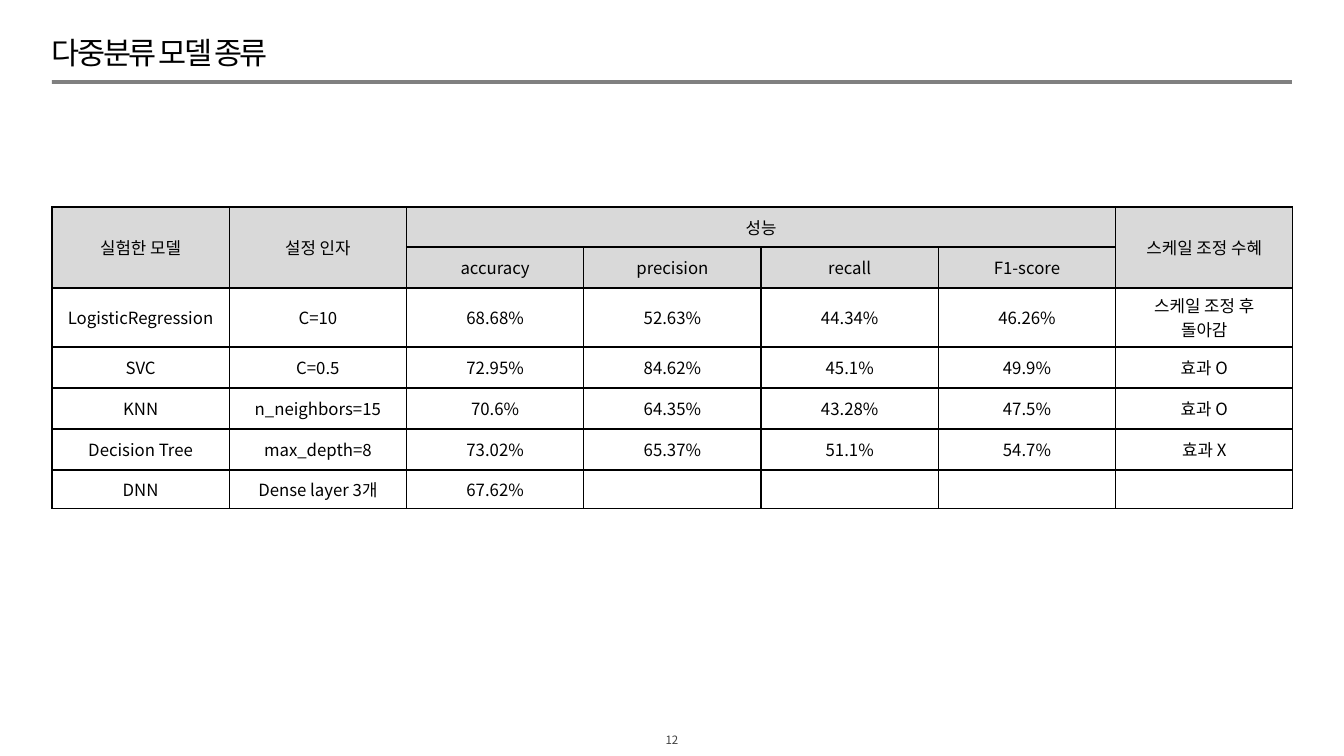
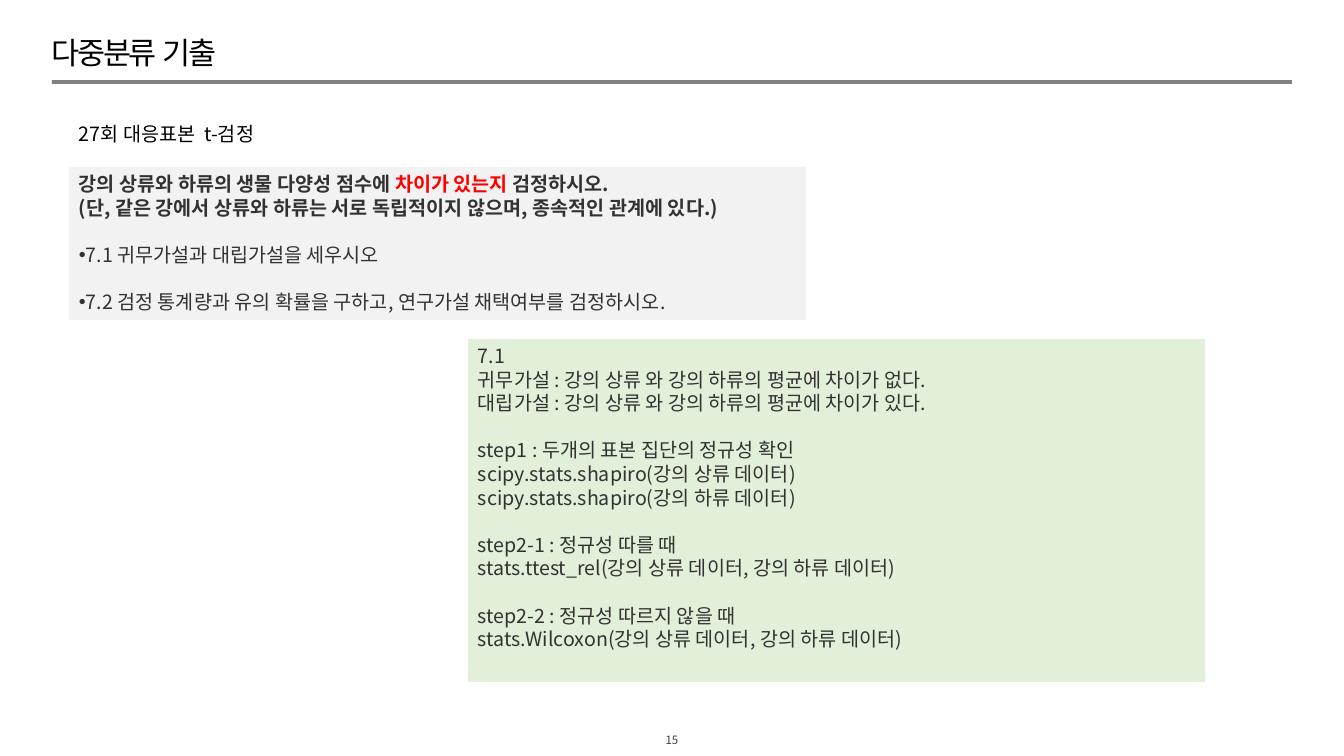
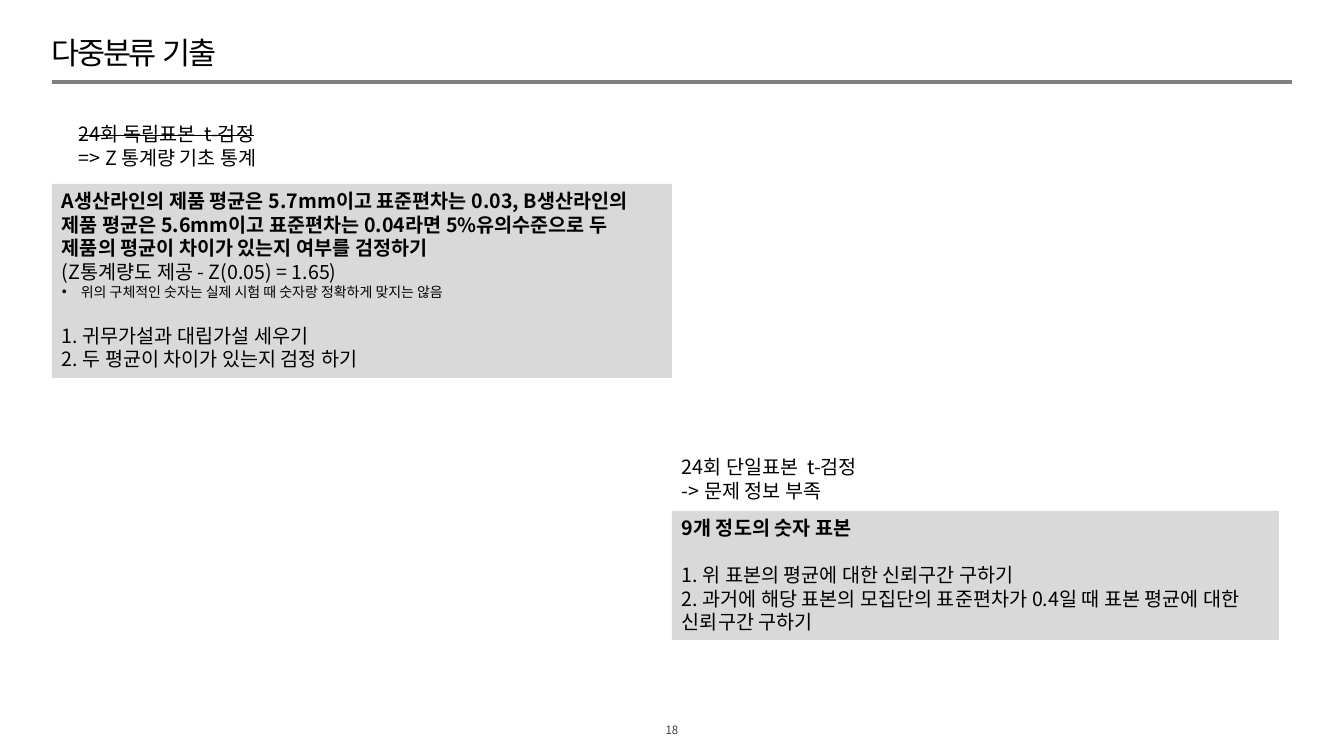
"""Build three slides on classification models and hypothesis tests."""
from lxml.etree import SubElement
from pptx import Presentation
from pptx.dml.color import RGBColor
from pptx.enum.shapes import MSO_SHAPE
from pptx.enum.text import MSO_ANCHOR, PP_ALIGN
from pptx.oxml.ns import qn
from pptx.util import Pt

FONT = "Noto Sans CJK KR"
COLORS = {"black": "000000", "ink": "323232", "footer": "404040", "red": "FF0000",
          "rule": "808080", "header": "D9D9D9", "white": "FFFFFF",
          "question": "F2F2F2", "answer": "E2F0D9"}
GAP = 17

HEADER = [
    ["실험한 모델", "설정 인자", "성능", "", "", "", "스케일 조정 수혜"],
    ["", "", "accuracy", "precision", "recall", "F1-score", ""],
]
MODELS = [
    ["LogisticRegression", "C=10", "68.68%", "52.63%", "44.34%", "46.26%",
     "스케일 조정 후\n돌아감"],
    ["SVC", "C=0.5", "72.95%", "84.62%", "45.1%", "49.9%", "효과 O"],
    ["KNN", "n_neighbors=15", "70.6%", "64.35%", "43.28%", "47.5%", "효과 O"],
    ["Decision Tree", "max_depth=8", "73.02%", "65.37%", "51.1%", "54.7%", "효과 X"],
    ["DNN", "Dense layer 3개", "67.62%", "", "", "", ""],
]
MERGES = [(0, 0, 1, 0), (0, 1, 1, 1), (0, 2, 0, 5), (0, 6, 1, 6)]
ROW_HEIGHTS = [40, 41, 59, 41, 41, 41, 39]

BOLD = {"bold": True}
PAIRED = [
    {"box": (69, 117, 240, 34), "paras": [{"runs": [("27회 대응표본  t-검정", {})]}]},
    {"box": (69, 167, 737, 153), "fill": "question", "color": "ink", "paras": [
        {"runs": [("강의 상류와 하류의 생물 다양성 점수에 ", BOLD),
                  ("차이가 있는지 ", {"bold": True, "color": "red"}),
                  ("검정하시오.", BOLD)]},
        {"runs": [("(단, 같은 강에서 상류와 하류는 서로 독립적이지 않으며, "
                   "종속적인 관계에 있다.)", BOLD)]},
        {"runs": [("7.1 귀무가설과 대립가설을 세우시오", {})], "before": GAP, "bullet": 0},
        {"runs": [("7.2 검정 통계량과 유의 확률을 구하고, 연구가설 채택여부를 검정하시오.", {})],
         "before": GAP, "bullet": 0},
    ]},
    {"box": (468, 339, 737, 343), "fill": "answer", "color": "ink", "paras": [
        {"runs": [("7.1", {})]},
        {"runs": [("귀무가설 : 강의 상류 와 강의 하류의 평균에 차이가 없다.", {})]},
        {"runs": [("대립가설 : 강의 상류 와 강의 하류의 평균에 차이가 있다.", {})]},
        {"runs": [("step1 : 두개의 표본 집단의 정규성 확인", {})], "before": GAP},
        {"runs": [("scipy.stats.shapiro(강의 상류 데이터)", {})]},
        {"runs": [("scipy.stats.shapiro(강의 하류 데이터)", {})]},
        {"runs": [("step2-1 : 정규성 따를 때", {})], "before": GAP},
        {"runs": [("stats.ttest_rel(강의 상류 데이터, 강의 하류 데이터)", {})]},
        {"runs": [("step2-2 : 정규성 따르지 않을 때", {})], "before": GAP},
        {"runs": [("stats.Wilcoxon(강의 상류 데이터, 강의 하류 데이터)", {})]},
    ]},
]
INDEPENDENT = [
    {"box": (52, 184, 620, 194), "fill": "header", "paras": [
        {"runs": [("A생산라인의 제품 평균은 5.7mm이고 표준편차는 0.03, "
                   "B생산라인의 제품 평균은 5.6mm이고 표준편차는 0.04라면 "
                   "5%유의수준으로 두 제품의 평균이 차이가 있는지 여부를 검정하기", BOLD)]},
        {"runs": [("(Z통계량도 제공 - Z(0.05) = 1.65)", {})]},
        {"runs": [("위의 구체적인 숫자는 실제 시험 때 숫자랑 정확하게 맞지는 않음", {"size": 10})],
         "bullet": 19},
        {"runs": [("1. 귀무가설과 대립가설 세우기", {})], "before": GAP},
        {"runs": [("2. 두 평균이 차이가 있는지 검정 하기", {})]},
    ]},
    {"box": (69, 117, 240, 57), "paras": [
        {"runs": [("24회 독립표본  t-검정", {"strike": True})]},
        {"runs": [("=> Z 통계량 기초 통계", {})]},
    ]},
    {"box": (672, 511, 607, 129), "fill": "header", "paras": [
        {"runs": [("9개 정도의 숫자 표본", BOLD)]},
        {"runs": [("1. 위 표본의 평균에 대한 신뢰구간 구하기", {})], "before": GAP},
        {"runs": [("2. 과거에 해당 표본의 모집단의 표준편차가 0.4일 때 "
                   "표본 평균에 대한 신뢰구간 구하기", {})]},
    ]},
    {"box": (672, 450, 240, 57), "paras": [
        {"runs": [("24회 단일표본  t-검정", {})]},
        {"runs": [("-> 문제 정보 부족", {})]},
    ]},
]


def px(n):
    return round(n * 914400 / 100.8)


def rgb(name):
    return RGBColor.from_string(COLORS[name])


def add_run(p, text, size=14, color="black", bold=False, strike=False, spacing=0):
    r = p.add_run()
    r.text = text
    r.font.size, r.font.bold, r.font.name = Pt(size), bold, FONT
    r.font.color.rgb = rgb(color)
    rPr = r.font._element
    SubElement(rPr, qn("a:ea")).set("typeface", FONT)
    if strike:
        rPr.set("strike", "sngStrike")
    if spacing:
        rPr.set("spc", str(spacing))


def add_bullet(p, indent):
    pPr = p._p.get_or_add_pPr()
    pPr.set("marL", str(px(indent)))
    pPr.set("indent", str(-px(indent)))
    SubElement(pPr, qn("a:buFont")).set("typeface", "Arial")
    SubElement(pPr, qn("a:buChar")).set("char", "•")


def add_rect(s, box, fill):
    sp = s.shapes.add_shape(MSO_SHAPE.RECTANGLE, *map(px, box))
    sp.shadow.inherit = False
    sp.fill.solid()
    sp.fill.fore_color.rgb = rgb(fill)
    sp.line.fill.background()
    return sp


def add_text(s, box, paras, fill=None, color="black", anchor=MSO_ANCHOR.TOP,
             align=PP_ALIGN.LEFT, leading=1.0, inset=True):
    sp = add_rect(s, box, fill) if fill else s.shapes.add_textbox(*map(px, box))
    tf = sp.text_frame
    tf.word_wrap, tf.vertical_anchor = True, anchor
    if not inset:
        tf.margin_left = tf.margin_right = tf.margin_top = tf.margin_bottom = 0
    for i, para in enumerate(paras):
        p = tf.add_paragraph() if i else tf.paragraphs[0]
        p.alignment, p.line_spacing = align, leading
        p.space_before = Pt(para.get("before", 0))
        if "bullet" in para:
            add_bullet(p, para["bullet"])
        for text, style in para["runs"]:
            add_run(p, text, **{"color": color, **style})


def add_slide(prs, title, number, footer_top=728):
    s = prs.slides.add_slide(prs.slide_layouts[6])
    add_rect(s, (52, 80, 1240, 4), "rule")
    add_text(s, (52, 38, 1241, 33),
             [{"runs": [(title, {"size": 21.8, "spacing": -180})]}],
             leading=0.9, inset=False)
    add_text(s, (521, footer_top, 302, 23), [{"runs": [(str(number), {"size": 8.2})]}],
             color="footer", anchor=MSO_ANCHOR.MIDDLE, align=PP_ALIGN.CENTER)
    return s


def style_cell(cell, text, fill):
    tcPr = cell._tc.get_or_add_tcPr()
    for side in ("lnL", "lnR", "lnT", "lnB"):
        ln = SubElement(tcPr, qn(f"a:{side}"), w=str(Pt(1)))
        SubElement(SubElement(ln, qn("a:solidFill")), qn("a:srgbClr"), val=COLORS["black"])
    cell.fill.solid()
    cell.fill.fore_color.rgb = rgb(fill)
    cell.vertical_anchor = MSO_ANCHOR.MIDDLE
    tf = cell.text_frame
    for i, line in enumerate(text.split("\n")):
        p = tf.add_paragraph() if i else tf.paragraphs[0]
        p.alignment = PP_ALIGN.CENTER
        if line:
            add_run(p, line, size=12)
        else:
            SubElement(p._p, qn("a:endParaRPr"), sz="1200")


def add_model_table(s):
    rows = HEADER + MODELS
    cols = len(rows[0])
    frame = s.shapes.add_table(len(rows), cols, px(52), px(207), px(1241),
                               px(sum(ROW_HEIGHTS)))
    table = frame.table
    table.first_row = table.horz_banding = False
    for col in table.columns:
        col.width = px(1241 / cols)
    for i, (texts, height) in enumerate(zip(rows, ROW_HEIGHTS)):
        table.rows[i].height = px(height)
        for j, text in enumerate(texts):
            style_cell(table.cell(i, j), text, "header" if i < len(HEADER) else "white")
    for top, left, bottom, right in MERGES:
        table.cell(top, left).merge(table.cell(bottom, right))


def main():
    prs = Presentation()
    prs.slide_width, prs.slide_height = px(1344), px(756)
    add_model_table(add_slide(prs, "다중분류 모델 종류", 12))
    for number, footer_top, blocks in ((15, 728, PAIRED), (18, 718, INDEPENDENT)):
        s = add_slide(prs, "다중분류  기출", number, footer_top)
        for block in blocks:
            add_text(s, **block)
    prs.save("out.pptx")


if __name__ == "__main__":
    main()
